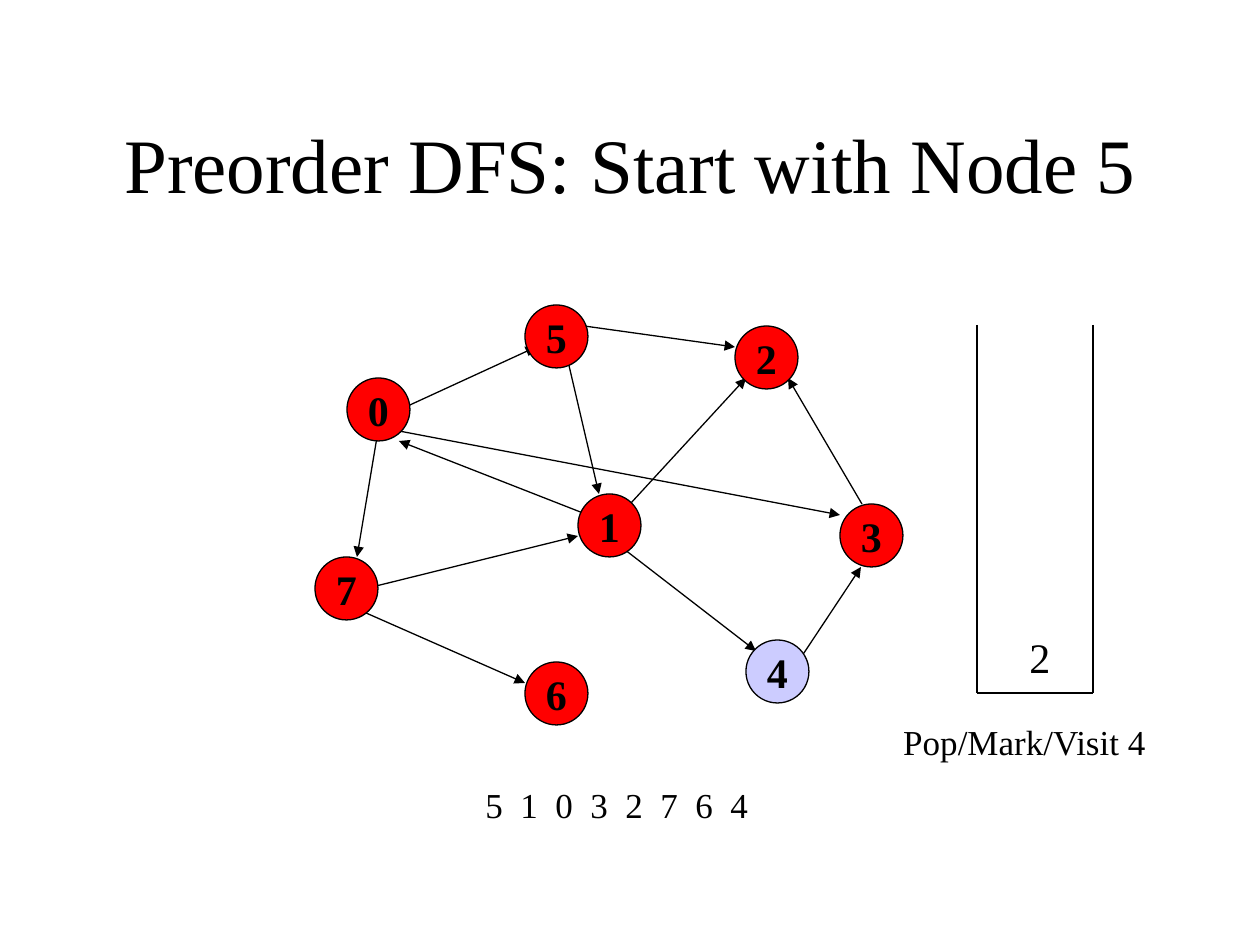
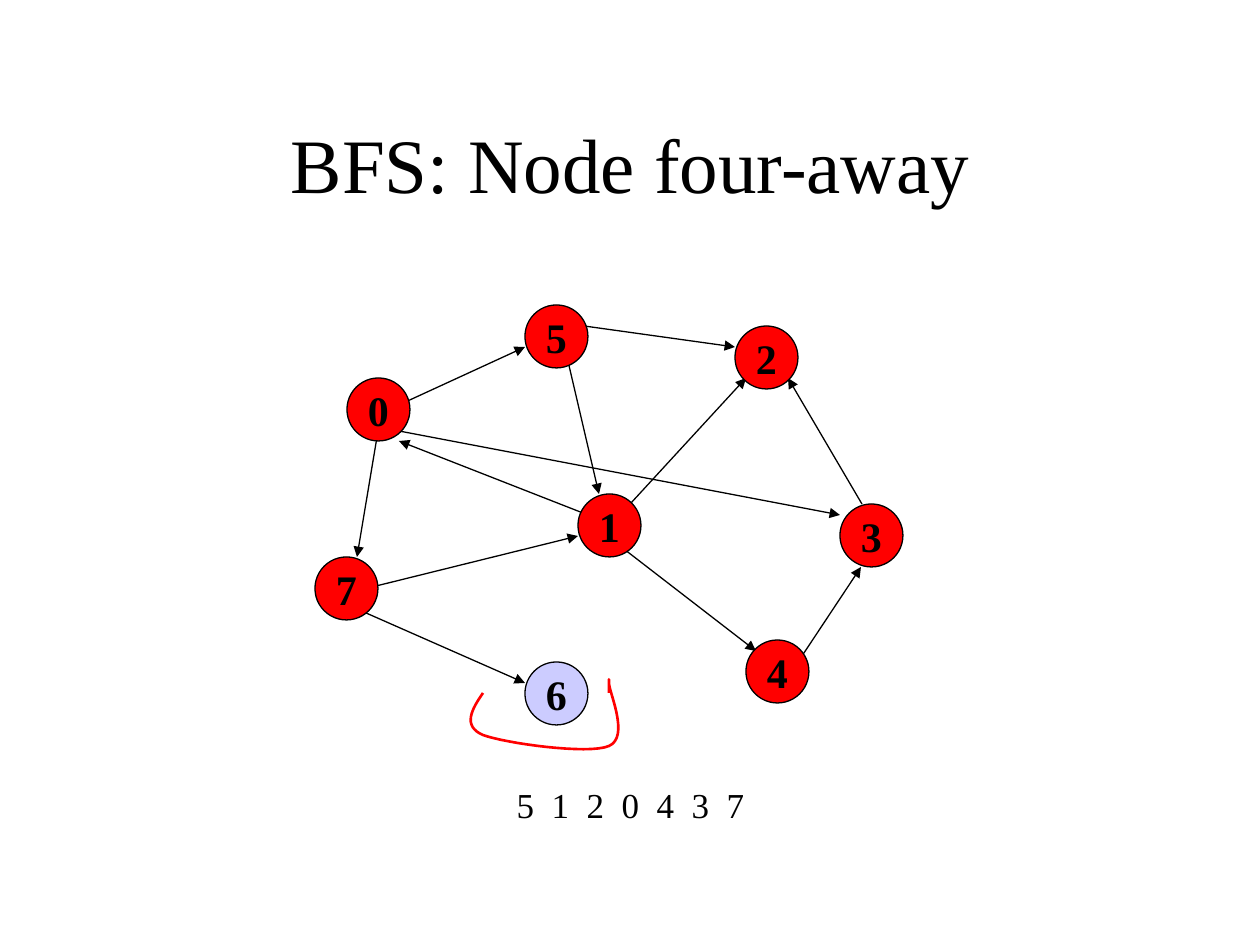
from pptx import Presentation
from pptx.dml.color import RGBColor
from pptx.enum.shapes import MSO_CONNECTOR, MSO_SHAPE
from pptx.enum.text import MSO_ANCHOR, MSO_AUTO_SIZE, PP_ALIGN
from pptx.oxml.ns import qn
from pptx.util import Emu, Pt
from lxml.etree import SubElement

SCALE = 914400 / 126
FONT = "Times New Roman"
COLORS = {"ink": "000000", "visited": "FF0000", "current": "CCCCFF", "mark": "FF0000"}
LINE_WIDTH = 0.74
TITLE_BOX = (95, 84, 1071, 158)
GRAPH_BOX = (315, 305, 588, 420)
SEQUENCE_BOX = (473, 777, 315, 55)
STACK_BOX = (977, 325, 116, 368)
CAPTION_BOX = (872, 714, 305, 55)
MARK_BOX = (462, 674, 168, 81)

NODE_SIZE = 63
NODES = {
    "0": (32, 73), "7": (0, 252), "1": (263, 189), "5": (210, 0),
    "4": (431, 335), "3": (525, 199), "2": (420, 21), "6": (210, 357),
}
EDGES = [
    (305, 210, 431, 73), (252, 52, 284, 189), (53, 283, 263, 231),
    (42, 304, 210, 378), (63, 126, 42, 252), (305, 241, 441, 346),
    (483, 357, 546, 262), (547, 199, 473, 73), (262, 20, 420, 42),
    (84, 126, 525, 210), (273, 210, 84, 136),
]
MARK_CURVE = [
    (21, 19), (10, 35), (0, 52), (21, 61), (42, 69), (126, 81), (147, 72),
    (168, 63), (147, 18), (147, 9), (147, 0), (147, 9), (147, 19),
]


def px(*values):
    return [Emu(round(v * SCALE)) for v in values]


def color(name):
    return RGBColor.from_string(COLORS[name])


def write(tf, text, size, align=PP_ALIGN.CENTER, bold=False, before=0):
    tf.text = text
    p = tf.paragraphs[0]
    p.alignment = align
    p.space_before = Pt(before)
    p.font.name = FONT
    p.font.size = Pt(size)
    p.font.bold = bold
    p.font.color.rgb = color("ink")
    return p


def add_title(s, box, text):
    title = s.shapes.title
    title.left, title.top, title.width, title.height = px(*box)
    tf = title.text_frame
    tf.auto_size = MSO_AUTO_SIZE.NONE
    tf.vertical_anchor = MSO_ANCHOR.MIDDLE
    write(tf, text, 44)


def add_text(s, box, text, size, align=PP_ALIGN.CENTER, anchor=MSO_ANCHOR.TOP, before=12.5):
    tf = s.shapes.add_textbox(*px(*box)).text_frame
    tf.word_wrap = True
    tf.vertical_anchor = anchor
    return write(tf, text, size, align, before=before)


def add_line(s, x1, y1, x2, y2, arrow=False):
    line = s.shapes.add_connector(MSO_CONNECTOR.STRAIGHT, *px(x1, y1, x2, y2))
    line.line.color.rgb = color("ink")
    line.line.width = Pt(LINE_WIDTH)
    spPr = line._element.spPr
    if arrow:
        SubElement(spPr.find(qn("a:ln")), qn("a:tailEnd"), type="triangle")
    SubElement(spPr, qn("a:effectLst"))


def add_node(s, x, y, label, fill):
    sp = s.shapes.add_shape(MSO_SHAPE.OVAL, *px(x, y, NODE_SIZE, NODE_SIZE))
    sp.shadow.inherit = False
    sp.fill.solid()
    sp.fill.fore_color.rgb = color(fill)
    sp.line.color.rgb = color("ink")
    sp.line.width = Pt(LINE_WIDTH)
    tf = sp.text_frame
    tf.word_wrap = False
    tf.vertical_anchor = MSO_ANCHOR.MIDDLE
    write(tf, label, 24, bold=True, before=6)


def add_graph(s, box, current, edge_to_5):
    left, top = box[:2]
    for x1, y1, x2, y2 in EDGES + [edge_to_5]:
        add_line(s, left + x1, top + y1, left + x2, top + y2, arrow=True)
    for label, (x, y) in NODES.items():
        add_node(s, left + x, top + y, label, "current" if label == current else "visited")


def add_sequence(s, box, visited, align):
    p = add_text(s, box, " ".join(visited), 20, align)
    p.font._element.set("spc", "250")


def add_stack(s, box, item):
    left, top, width, height = box
    right, bottom = left + width, top + height
    add_line(s, left, top, left, bottom)
    add_line(s, right, top, right, bottom)
    add_line(s, left, bottom, right, bottom)
    add_text(s, (left + 5, top, width, height - 5), item, 24, anchor=MSO_ANCHOR.BOTTOM, before=0)


def bezier(p0, p1, p2, p3, steps=16):
    for i in range(1, steps + 1):
        t = i / steps
        u = 1 - t
        yield tuple(
            u**3 * a + 3 * u * u * t * b + 3 * u * t * t * c + t**3 * d
            for a, b, c, d in zip(p0, p1, p2, p3)
        )


def add_mark(s, box):
    left, top = box[:2]
    controls = [(left + x, top + y) for x, y in MARK_CURVE]
    points = [pt for i in range(0, len(controls) - 1, 3) for pt in bezier(*controls[i:i + 4])]
    builder = s.shapes.build_freeform(*px(*controls[0]))
    builder.add_line_segments([px(*pt) for pt in points], close=False)
    sp = builder.convert_to_shape()
    sp.shadow.inherit = False
    sp.fill.background()
    sp.line.color.rgb = color("mark")
    sp.line.width = Pt(1.5)


def add_search_slide(prs, title, current, edge_to_5, visited, align):
    s = prs.slides.add_slide(prs.slide_layouts[5])
    add_title(s, TITLE_BOX, title)
    add_graph(s, GRAPH_BOX, current, edge_to_5)
    add_sequence(s, SEQUENCE_BOX, visited, align)
    return s


prs = Presentation()
prs.slide_width, prs.slide_height = px(1260, 945)

s = add_search_slide(prs, "Preorder DFS: Start with Node 5", "4",
                     (84, 105, 221, 42), "51032764", PP_ALIGN.LEFT)
add_stack(s, STACK_BOX, "2")
add_text(s, CAPTION_BOX, "Pop/Mark/Visit 4", 20)

s = add_search_slide(prs, "BFS: Node four-away", "6",
                     (73, 105, 210, 42), "5120437", PP_ALIGN.CENTER)
add_mark(s, MARK_BOX)

prs.save("out.pptx")
